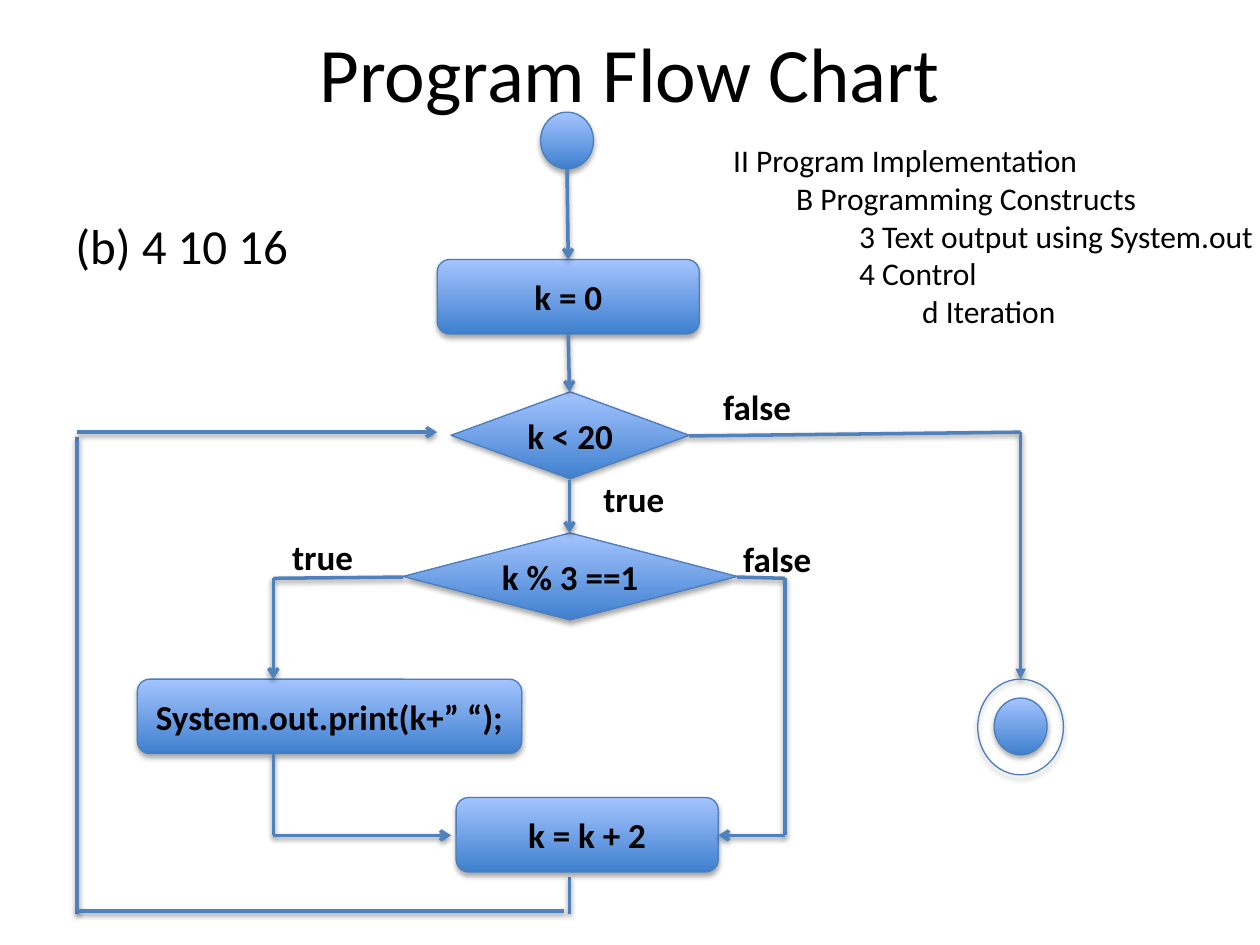
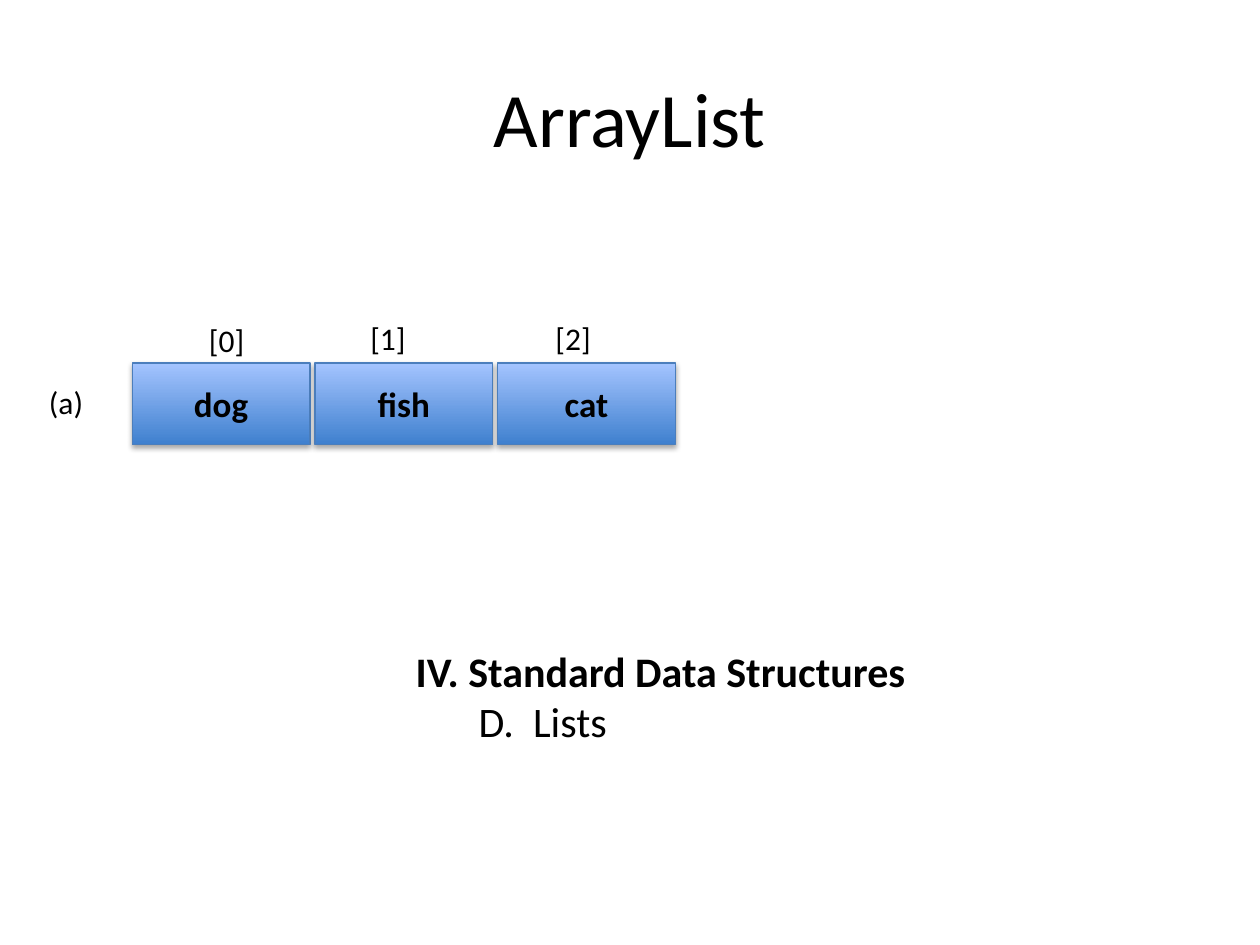
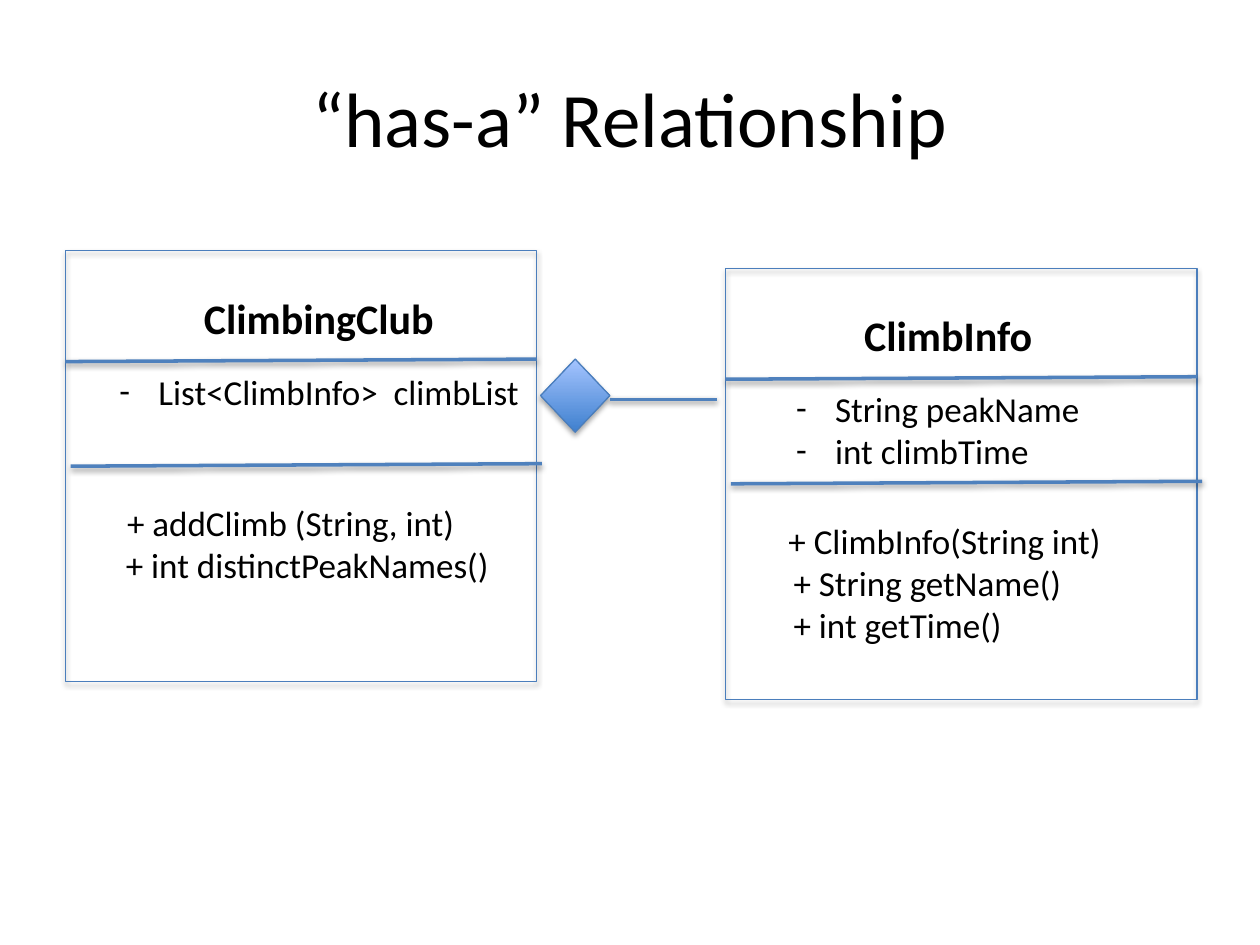
from pptx import Presentation
from pptx.dml.color import RGBColor
from pptx.enum.shapes import MSO_CONNECTOR, MSO_SHAPE as SHAPE
from pptx.enum.text import MSO_ANCHOR as ANCHOR, PP_ALIGN as ALIGN
from pptx.oxml.ns import qn
from pptx.util import Inches, Pt
from lxml.etree import SubElement

# Shared style
BLACK = RGBColor(0x00, 0x00, 0x00)
LINK = RGBColor(0x4F, 0x81, 0xBD)
OUTLINE = RGBColor(0x4B, 0x7E, 0xBC)
DEEP = RGBColor(0x3F, 0x80, 0xCE)
PALE = RGBColor(0xA4, 0xC4, 0xFF)
FONT = "Calibri"
WIDTH, HEIGHT = 10, 7.5
TAB = 0.5

# Flow chart grid: vertical lanes and horizontal levels
LOOP, PRINT, MAIN, SKIP, END = 0.61, 2.17, 4.52, 6.23, 8.1
TEST, CHECK, STEP, RETURN = 3.43, 4.58, 6.63, 7.23
DOT = (0.42, 0.45)
BOX = (2.08, 0.59)


def inches(*lengths):
    return [Inches(length) for length in lengths]


def add_shadow(effects, distance, alpha):
    shadow = SubElement(effects, qn("a:outerShdw"), blurRad=str(Pt(3.1)),
                        dist=str(Pt(distance)), dir="5400000", rotWithShape="0")
    color = SubElement(shadow, qn("a:srgbClr"), val=str(BLACK))
    SubElement(color, qn("a:alpha"), val=str(alpha * 1000))


def write(frame, text, size=20, bold=False, align=ALIGN.LEFT, anchor=ANCHOR.TOP,
          wrap=False, indents=(), bullet=None, inset=0.05):
    """Write one paragraph per line; bold may be a flag for each line."""
    frame.word_wrap = wrap
    frame.vertical_anchor = anchor
    frame.margin_top = Inches(inset)
    for i, line in enumerate(text.split("\n")):
        par = frame.paragraphs[0] if i == 0 else frame.add_paragraph()
        par.alignment = align
        run = par.add_run()
        run.text = line
        run.font.name, run.font.size = FONT, Pt(size)
        run.font.bold = bold[i] if isinstance(bold, tuple) else bold
        run.font.color.rgb = BLACK
        props = par._p.get_or_add_pPr()
        if indents:
            props.set("marL", str(Inches(indents[i])))
            props.set("indent", "0")
        if bullet:
            props.set("marL", str(Inches(0.31)))
            props.set("indent", str(Inches(-0.31)))
            SubElement(props, qn("a:buFont"), typeface=FONT)
            SubElement(props, qn("a:buChar"), char=bullet)


def add_text(slide, text, left, top, width, height, **style):
    box = slide.shapes.add_textbox(*inches(left, top, width, height))
    write(box.text_frame, text, **style)


def add_node(slide, kind, left, top, width, height, text="", filled=True):
    node = slide.shapes.add_shape(kind, *inches(left, top, width, height))
    if filled:
        node.fill.gradient()
        node.fill.gradient_angle = 90
        for stop, color in zip(node.fill.gradient_stops, (DEEP, PALE)):
            stop.color.rgb = color
    else:
        node.fill.background()
    node.line.color.rgb = OUTLINE
    node.line.width = Pt(0.75)
    node.shadow.inherit = False
    add_shadow(node._element.spPr.find(qn("a:effectLst")), 1.8, 35)
    if text:
        write(node.text_frame, text, bold=True, align=ALIGN.CENTER,
              anchor=ANCHOR.MIDDLE)


def add_link(slide, start, end, head=None):
    link = slide.shapes.add_connector(MSO_CONNECTOR.STRAIGHT,
                                      *inches(*start, *end))
    link.line.color.rgb = LINK
    link.line.width = Pt(2)
    if head:
        SubElement(link.line._get_or_add_ln(), qn("a:tailEnd"), type=head)
    add_shadow(SubElement(link._element.spPr, qn("a:effectLst")), 1.6, 38)


def add_route(slide, *points, head=None):
    """Join the points with straight links; only the last has a head."""
    last = len(points) - 2
    for i, (start, end) in enumerate(zip(points, points[1:])):
        add_link(slide, start, end, head if i == last else None)


def add_slide(deck, title, top=0.3):
    slide = deck.slides.add_slide(deck.slide_layouts[6])
    add_text(slide, title, 0.05 * WIDTH, top, 0.9 * WIDTH, HEIGHT / 6, size=44,
             align=ALIGN.CENTER, anchor=ANCHOR.MIDDLE, wrap=True)
    return slide


def flow_chart(deck):
    slide = add_slide(deck, "Program Flow Chart", top=-0.06)

    # Way back to the loop test
    add_link(slide, (MAIN, 6.96), (MAIN, 7.25))
    add_link(slide, (LOOP, 7.25), (LOOP, 3.47))
    add_link(slide, (LOOP, RETURN), (4.48, RETURN))
    add_link(slide, (LOOP, TEST), (3.47, TEST), "arrow")

    # Steps
    add_node(slide, SHAPE.OVAL, 4.29, 0.89, *DOT)
    add_node(slide, SHAPE.ROUNDED_RECTANGLE, 3.47, 2.06, *BOX, "k = 0")
    add_node(slide, SHAPE.DIAMOND, 3.58, 3.11, 1.89, 0.69, "k < 20")
    add_node(slide, SHAPE.DIAMOND, 3.2, 4.23, 2.65, 0.69, "k % 3 ==1")
    add_node(slide, SHAPE.ROUNDED_RECTANGLE, 1.09, 5.39, 3.05, BOX[1],
             "System.out.print(k+” “);")
    add_node(slide, SHAPE.ROUNDED_RECTANGLE, 3.62, 6.33, *BOX, "k = k + 2")

    # Main lane
    add_link(slide, (4.5, 1.34), (4.51, 2.06), "arrow")
    add_link(slide, (4.51, 2.65), (MAIN, 3.11), "arrow")
    add_link(slide, (MAIN, 3.81), (MAIN, 4.23), "arrow")

    # Branches
    add_route(slide, (3.2, CHECK), (PRINT, 4.59), (PRINT, 5.39), head="arrow")
    add_route(slide, (PRINT, 5.98), (PRINT, STEP), (3.58, STEP), head="arrow")
    add_route(slide, (5.85, CHECK), (SKIP, 4.59), (SKIP, STEP), (5.7, STEP),
              head="arrow")
    add_route(slide, (5.47, 3.46), (END, TEST), (END, 5.39), head="triangle")

    # End point
    add_node(slide, SHAPE.OVAL, 7.89, 5.54, *DOT)
    add_node(slide, SHAPE.OVAL, 7.76, 5.39, 0.68, 0.76, filled=False)

    # Branch labels, answer and outline
    for answer, left, top, width in (("false", 5.64, 3.01, 0.75),
                                     ("true", 4.69, 3.74, 0.69),
                                     ("true", 2.22, 4.2, 0.69),
                                     ("false", 5.8, 4.22, 0.75)):
        add_text(slide, answer, left, top, width, 0.44, bold=True)
    add_text(slide, "II Program Implementation\nB Programming Constructs\n"
             "3 Text output using System.out\n4 Control\nd Iteration",
             5.72, 1.07, 4.41, 1.62, size=18,
             indents=[TAB * level for level in (0, 1, 2, 2, 3)])
    add_text(slide, "(b) 4 10 16", 0.5, 1.66, 2.44, 0.57, size=28, wrap=True)


def array_list(deck):
    slide = add_slide(deck, "ArrayList")

    # Cells with their indexes
    indexes = ((1.56, 2.5), (2.84, 2.48), (4.31, 2.48))
    for i, (animal, place) in enumerate(zip(("dog", "fish", "cat"), indexes)):
        add_node(slide, SHAPE.RECTANGLE, 1.05 + 1.45 * i, 2.88, 1.41, 0.65, animal)
        add_text(slide, f"[{i}]", *place, 0.48, 0.4, size=18)

    add_text(slide, "(a)", 0.29, 2.99, 0.48, 0.4, size=18)
    add_text(slide, "IV. Standard Data Structures\nD.  Lists", 3.2, 5.07, 4.18, 0.91,
             size=24, bold=(True, False), indents=(0, TAB))


def class_card(slide, left, top, name, name_width, fields, fields_box,
               methods, methods_box, indents):
    add_node(slide, SHAPE.RECTANGLE, left, top, 3.74, 3.42, filled=False)
    for shift, drop in ((0, 0.88), (0.04, 1.71)):
        add_link(slide, (left + shift, top + drop),
                 (left + shift + 3.74, top + drop - 0.02))
    add_text(slide, name, left + 1, top + 0.28, name_width, 0.5, size=24, bold=True)
    shift, width, height = fields_box
    add_text(slide, fields, left + shift, top + 0.9, width, height, bullet="-")
    width, height = methods_box
    add_text(slide, methods, left - 0.06, top + 1.63, width, height,
             indents=indents, inset=0.36)


def has_a(deck):
    slide = add_slide(deck, "“has-a” Relationship")
    class_card(slide, 0.52, 1.99, "ClimbingClub", 2.04,
               "List<ClimbInfo>  climbList", (0.33, 3.4, 0.44),
               "+ addClimb (String, int)\n+ int distinctPeakNames()", (3.62, 1.38),
               (0.45, 0.44))
    class_card(slide, 5.76, 2.13, "ClimbInfo", 1.56,
               "String peakName\nint climbTime", (0.46, 2.46, 0.77),
               "+ ClimbInfo(String int)\n+ String getName()\n+ int getTime()",
               (3.17, 1.72), (0.46, 0.5, 0.5))

    # Composition link
    add_node(slide, SHAPE.DIAMOND, 4.29, 2.85, 0.55, 0.58)
    add_link(slide, (4.84, 3.17), (5.69, 3.17))


def main():
    deck = Presentation()
    deck.slide_width, deck.slide_height = inches(WIDTH, HEIGHT)
    flow_chart(deck)
    array_list(deck)
    has_a(deck)
    deck.save("out.pptx")


main()
